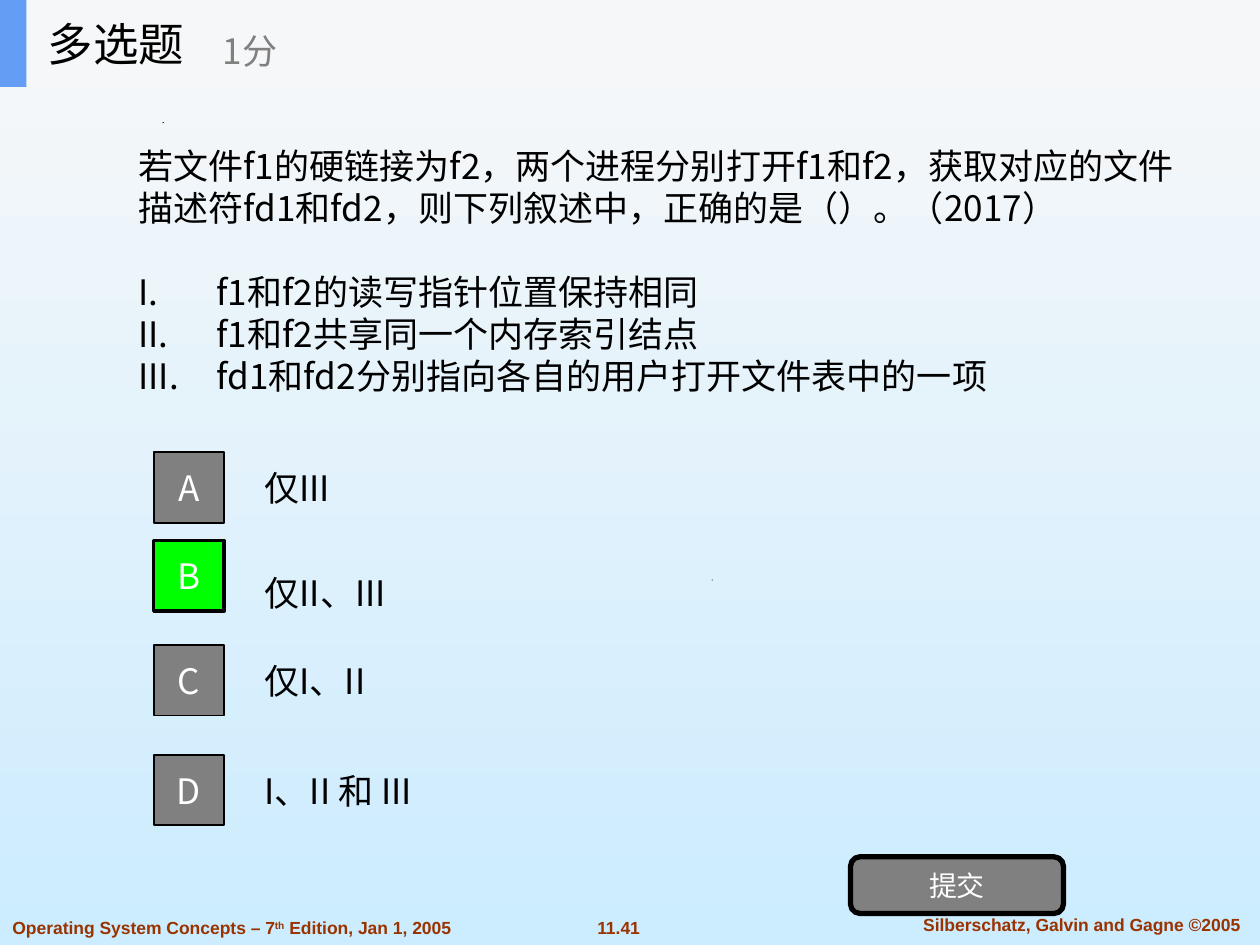
from pptx import Presentation
from pptx.dml.color import RGBColor
from pptx.enum.shapes import MSO_SHAPE
from pptx.enum.text import MSO_ANCHOR, MSO_AUTO_SIZE, PP_ALIGN
from pptx.oxml.ns import qn
from pptx.util import Inches, Pt
from lxml.etree import SubElement

CJK_FONT = "Noto Sans CJK SC"
BLACK, WHITE, GRAY, GREEN, BROWN = "000000", "FFFFFF", "808080", "00FF00", "993300"
color = RGBColor.from_string


def write(shape, runs, size, font_color, font_name=CJK_FONT, align=PP_ALIGN.LEFT, bold=False):
    """Fill the shape with one paragraph per list of runs."""
    frame = shape.text_frame
    frame.auto_size = MSO_AUTO_SIZE.NONE
    frame.word_wrap = True
    frame.vertical_anchor = MSO_ANCHOR.MIDDLE
    for index, texts in enumerate(runs):
        paragraph = frame.add_paragraph() if index else frame.paragraphs[0]
        paragraph.alignment = align
        for text in texts:
            run = paragraph.add_run()
            run.text = text
            run.font.size = Pt(size)
            run.font.bold = bold
            run.font.name = font_name
            run.font.color.rgb = color(font_color)
            SubElement(run.font._element, qn("a:ea"), typeface=font_name)
    return frame.paragraphs


def add_box(kind, left, top, width, height, fill, line_width=0):
    box = slide.shapes.add_shape(kind, Inches(left), Inches(top), Inches(width), Inches(height))
    box.shadow.inherit = False
    box.fill.solid()
    box.fill.fore_color.rgb = color(fill)
    if line_width:
        box.line.color.rgb = color(BLACK)
        box.line.width = Pt(line_width)
    else:
        box.line.fill.background()
    return box


presentation = Presentation()
presentation.slide_width = Inches(10)
presentation.slide_height = Inches(7.5)
slide = presentation.slides.add_slide(presentation.slide_layouts[5])

# Background
background = slide.background.fill
background.gradient()
background.gradient_angle = 270
for stop, stop_color, position in zip(background.gradient_stops, ("F8F8F8", "CCECFF"), (0, 1)):
    stop.color.rgb = color(stop_color)
    stop.position = position

# Tiny specks
for left, top in [(1.29, 0.97), (5.65, 4.6)]:
    builder = slide.shapes.build_freeform(Inches(left), Inches(top + 0.01))
    builder.add_line_segments([(Inches(left), Inches(top)), (Inches(left + 0.01), Inches(top))])
    speck = builder.convert_to_shape()
    speck.shadow.inherit = False
    speck.fill.solid()
    speck.fill.fore_color.rgb = color(BLACK)
    speck.line.fill.background()

# Footer
footers = [
    (0, 7.23, 3.69, PP_ALIGN.LEFT, ["Operating System Concepts – 7", "th", " Edition, Jan 1, 2005"]),
    (4.63, 7.23, 0.56, PP_ALIGN.CENTER, ["11.41"]),
    (7.1, 7.2, 2.97, PP_ALIGN.CENTER, ["Silberschatz, Galvin and Gagne ©2005"]),
]
for left, top, width, align, texts in footers:
    footer = slide.shapes.add_textbox(Inches(left), Inches(top), Inches(width), Inches(0.27))
    paragraphs = write(footer, [texts], 10, BROWN, "Arial", align, bold=True)
    for run in paragraphs[0].runs:
        if run.text == "th":
            run.font._element.set("baseline", "30000")

# Question and its numbered statements
question = slide.shapes.add_textbox(Inches(1), Inches(0.98), Inches(8.51), Inches(2.34))
paragraphs = write(question, [
    ["若文件f1的硬链接为f2，两个进程分别打开f1和f2，获取对应的文件描述符fd1和fd2，则下列叙述中，正确的是（）。（2017）"],
    ["f1和f2的读写指针位置保持相同"],
    ["f1和f2共享同一个内存索引结点"],
    ["fd1和fd2分别指向各自的用户打开文件表中的一项"],
], 20, BLACK)
paragraphs[1].space_before = Pt(24)
for paragraph in paragraphs[1:]:
    properties = paragraph._p.get_or_add_pPr()
    properties.set("marL", str(Inches(0.62)))
    properties.set("indent", str(-Inches(0.62)))
    SubElement(properties, qn("a:buFont"), typeface=CJK_FONT)
    SubElement(properties, qn("a:buAutoNum"), type="romanUcPeriod")

# Answer options: letter, button top, answer top, answer, fill, line width
options = [
    ("A", 3.59, 3.52, "仅III", GRAY, 1),
    ("B", 4.29, 4.35, "仅II、III", GREEN, 2),
    ("C", 5.12, 5.05, "仅I、II", GRAY, 1),
    ("D", 5.99, 5.92, "I、II 和 III", GRAY, 1),
]
for letter, button_top, answer_top, text, fill, line_width in options:
    answer = slide.shapes.add_textbox(Inches(2), Inches(answer_top), Inches(3.39), Inches(0.7))
    write(answer, [[text]], 20, BLACK)
    button = add_box(MSO_SHAPE.RECTANGLE, 1.22, button_top, 0.56, 0.56, fill, line_width)
    write(button, [[letter]], 20, WHITE, align=PP_ALIGN.CENTER)

submit = add_box(MSO_SHAPE.ROUNDED_RECTANGLE, 6.75, 6.8, 1.69, 0.45, GRAY, 3)
write(submit, [["提交"]], 16, WHITE, align=PP_ALIGN.CENTER)

# Title band, with the title brought in front of it
add_box(MSO_SHAPE.RECTANGLE, 0, 0, 10, 0.69, "F6F7F8")
add_box(MSO_SHAPE.RECTANGLE, 0, 0, 0.21, 0.69, "639EF4")
title = slide.shapes.title
title.element.getparent().append(title.element)
title.left, title.top, title.width, title.height = Inches(0.28), Inches(0), Inches(2.08), Inches(0.69)
write(title, [["多选题"]], 26, BLACK)
score = slide.shapes.add_textbox(Inches(1.67), Inches(0.12), Inches(2.5), Inches(0.56))
write(score, [["1分"]], 20, GRAY)

presentation.save("out.pptx")
